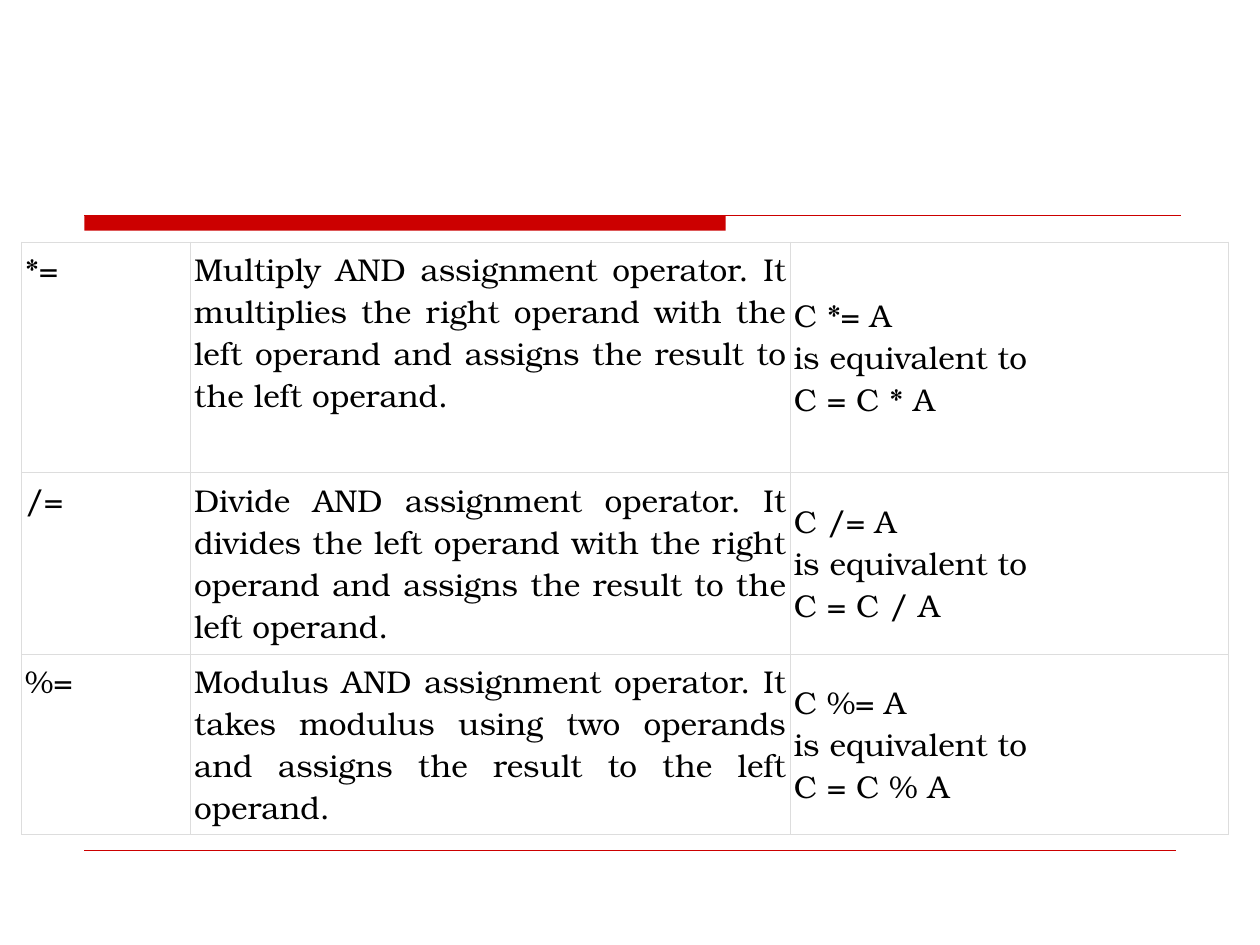
from dataclasses import dataclass

from pptx import Presentation
from pptx.dml.color import RGBColor
from pptx.enum.shapes import MSO_CONNECTOR as Connector, MSO_SHAPE as Shape
from pptx.enum.text import MSO_ANCHOR as Anchor, PP_ALIGN as Align
from pptx.oxml.ns import qn
from pptx.slide import Slide
from pptx.table import _Cell as Cell
from pptx.util import Inches, Pt
from lxml.etree import SubElement


@dataclass(frozen=True)
class Theme:
    """Colours and type of the slide."""
    accent: str = "CC0000"
    border: str = "DDDDDD"
    ink: str = "000000"
    font: str = "TeX Gyre Bonum"
    size: float = 18
    border_width: float = 0.34


@dataclass(frozen=True)
class Operator:
    """One assignment operator with its meaning."""
    symbol: str
    description: str

    @property
    def example(self) -> str:
        """Return the short form and its long equivalent."""
        return f"C {self.symbol} A\nis equivalent to\nC = C {self.symbol[0]} A"


@dataclass(frozen=True)
class Rule:
    """A horizontal line."""
    left: float
    right: float
    top: float
    weight: float


THEME = Theme()
RULES = (Rule(0.67, 9.37, 1.71, 0.75), Rule(0.67, 9.33, 6.75, 0.25))
COLUMN_WIDTHS = (1.34, 4.76, 3.48)
ROW_HEIGHTS = (1.83, 1.44, 1.4)
OPERATORS = (
    Operator("*=", "Multiply AND assignment operator. It multiplies the right operand "
                   "with the left operand and assigns the result to the left operand."),
    Operator("/=", "Divide AND assignment operator. It divides the left operand "
                   "with the right operand and assigns the result to the left operand."),
    Operator("%=", "Modulus AND assignment operator. It takes modulus using two operands "
                   "and assigns the result to the left operand."),
)


def draw_bar(page: Slide) -> None:
    """Draw the thick accent bar."""
    bar = page.shapes.add_shape(Shape.RECTANGLE, Inches(0.67), Inches(1.71),
                                Inches(5.09), Inches(0.12))
    bar.shadow.inherit = False
    bar.fill.solid()
    bar.fill.fore_color.rgb = RGBColor.from_string(THEME.accent)
    bar.line.fill.background()


def draw_rule(page: Slide, rule: Rule) -> None:
    """Draw one thin accent line."""
    line = page.shapes.add_connector(Connector.STRAIGHT, Inches(rule.left), Inches(rule.top),
                                     Inches(rule.right), Inches(rule.top))
    line.line.color.rgb = RGBColor.from_string(THEME.accent)
    line.line.width = Pt(rule.weight)
    SubElement(line._element.spPr, qn("a:effectLst"))


def set_borders(cell: Cell) -> None:
    """Outline a cell on all four sides."""
    properties = cell._tc.get_or_add_tcPr()
    for side in ("a:lnL", "a:lnR", "a:lnT", "a:lnB"):
        border = SubElement(properties, qn(side), w=str(Pt(THEME.border_width)))
        fill = SubElement(border, qn("a:solidFill"))
        SubElement(fill, qn("a:srgbClr"), val=THEME.border)


def write_cell(cell: Cell, text: str, *, anchor: Anchor = Anchor.TOP,
               align: Align = Align.JUSTIFY) -> None:
    """Fill a cell with formatted text."""
    cell.margin_left = cell.margin_right = Inches(0.03)
    cell.margin_top = cell.margin_bottom = Inches(0.05)
    cell.vertical_anchor = anchor
    set_borders(cell)
    cell.fill.background()
    cell.text = text
    for para in cell.text_frame.paragraphs:
        para.alignment = align
        for span in para.runs:
            span.font.name = THEME.font
            span.font.size = Pt(THEME.size)
            span.font.color.rgb = RGBColor.from_string(THEME.ink)


def draw_table(page: Slide) -> None:
    """Draw the table of operators."""
    table = page.shapes.add_table(
        len(OPERATORS), len(COLUMN_WIDTHS), Inches(0.17), Inches(1.92),
        Inches(sum(COLUMN_WIDTHS)), Inches(sum(ROW_HEIGHTS))).table
    table.first_row = table.horz_banding = False
    for column, width in zip(table.columns, COLUMN_WIDTHS):
        column.width = Inches(width)
    for row, height, operator in zip(table.rows, ROW_HEIGHTS, OPERATORS):
        row.height = Inches(height)
        symbol, description, example = row.cells
        write_cell(symbol, operator.symbol)
        write_cell(description, operator.description)
        write_cell(example, operator.example, anchor=Anchor.MIDDLE)


def main() -> None:
    """Build and save the deck."""
    deck = Presentation()
    deck.slide_width, deck.slide_height = Inches(10), Inches(7.5)
    page = deck.slides.add_slide(deck.slide_layouts.get_by_name("Blank"))
    draw_bar(page)
    for rule in RULES:
        draw_rule(page, rule)
    draw_table(page)
    deck.save("out.pptx")


if __name__ == "__main__":
    main()
